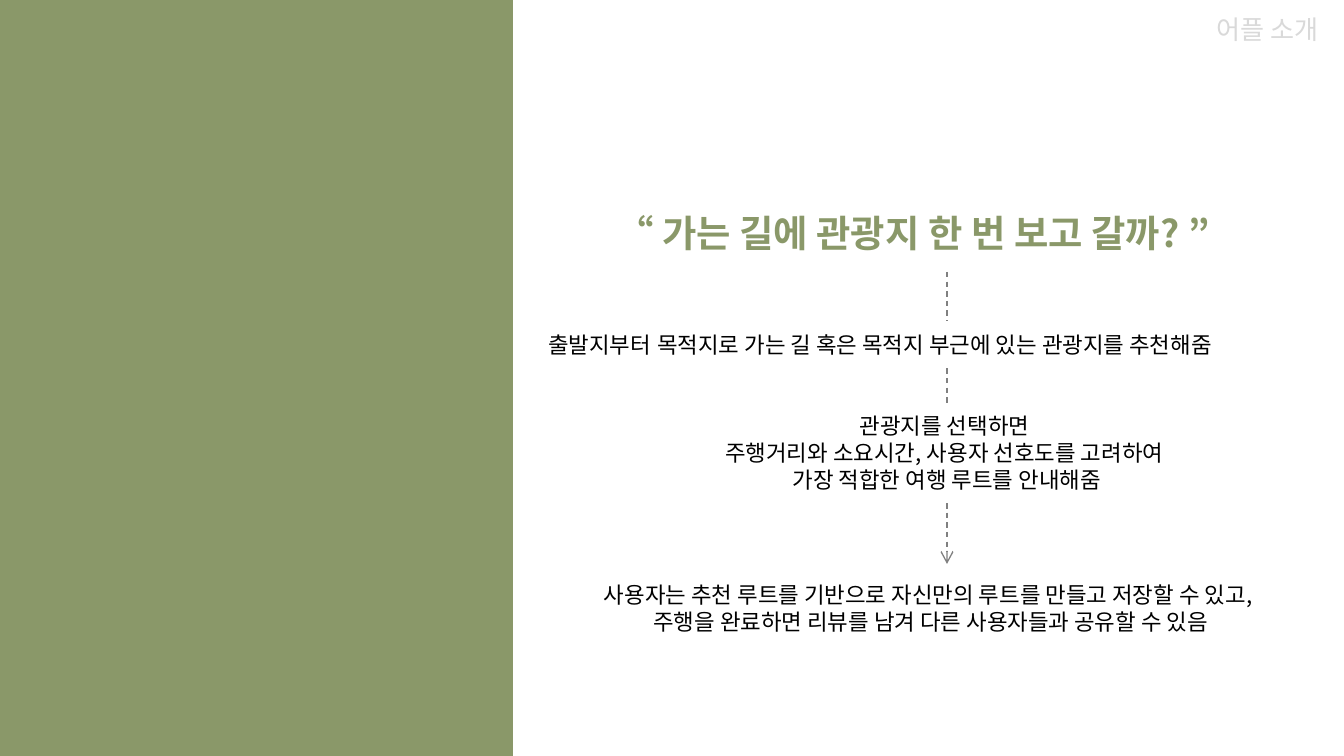
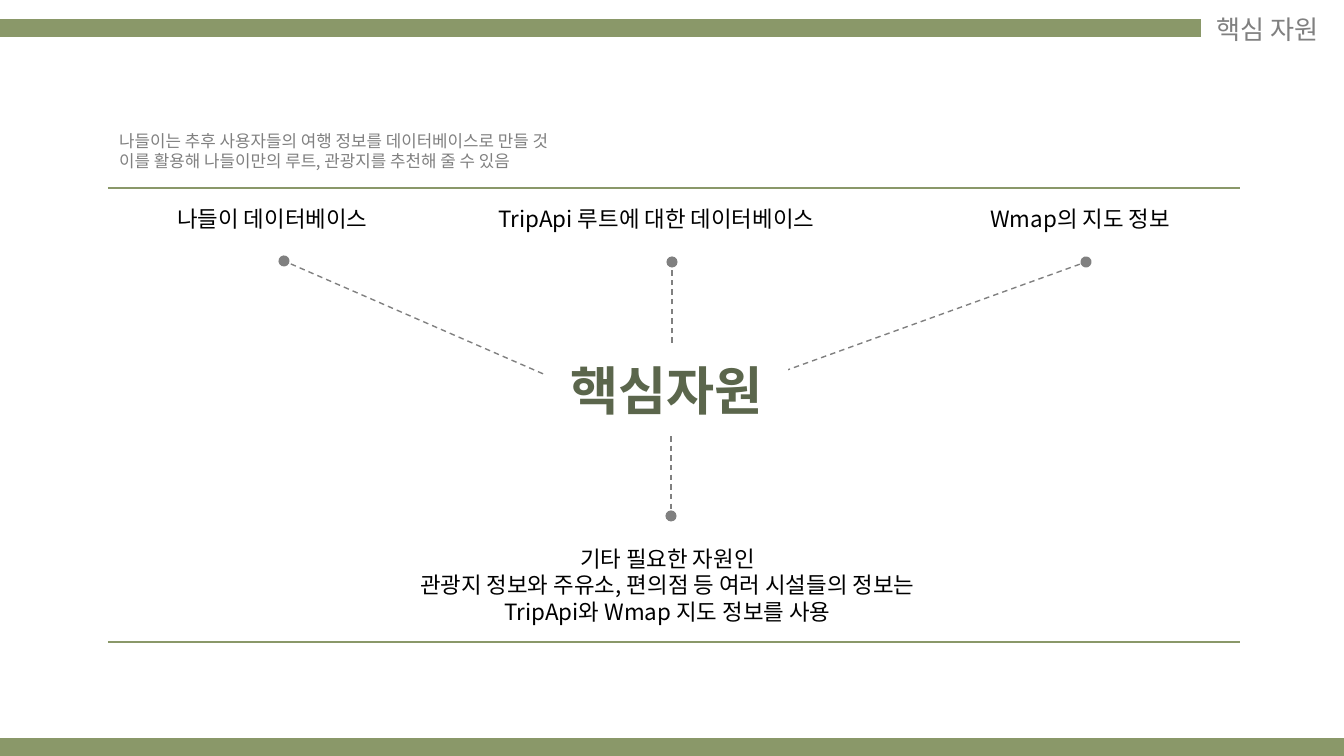
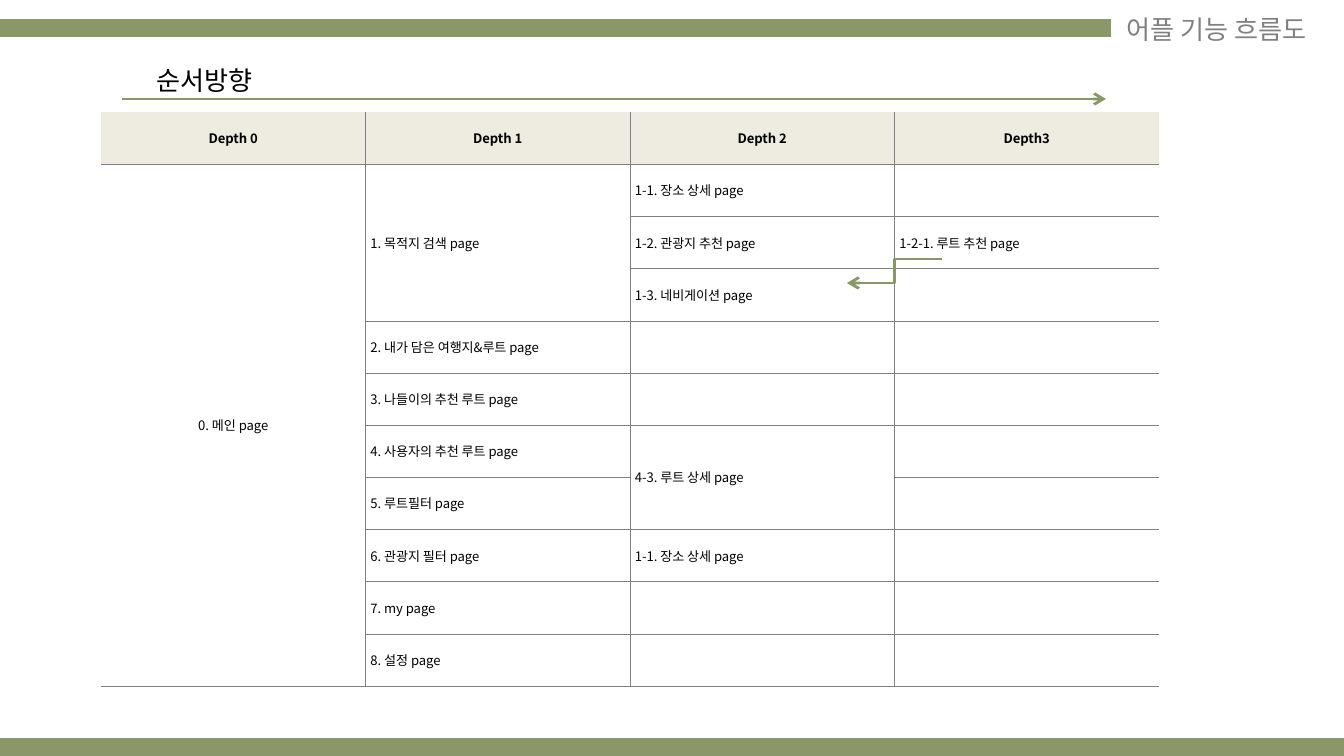
from lxml import etree
from pptx import Presentation
from pptx.dml.color import RGBColor
from pptx.enum.dml import MSO_LINE
from pptx.enum.shapes import MSO_CONNECTOR, MSO_SHAPE
from pptx.enum.text import MSO_ANCHOR, MSO_AUTO_SIZE, PP_ALIGN
from pptx.oxml.ns import qn
from pptx.util import Pt

GREEN = RGBColor(0x8A, 0x98, 0x69)
DARK_GREEN = RGBColor(0x5B, 0x66, 0x4C)
CREAM = RGBColor(0xEE, 0xEC, 0xE1)
GRAY = RGBColor(0x80, 0x80, 0x80)
LIGHT_GRAY = RGBColor(0xD9, 0xD9, 0xD9)
BLACK = RGBColor(0, 0, 0)
WHITE = RGBColor(0xFF, 0xFF, 0xFF)

LEFT, CENTER = PP_ALIGN.LEFT, PP_ALIGN.CENTER
TOP, MIDDLE = MSO_ANCHOR.TOP, MSO_ANCHOR.MIDDLE
STRAIGHT, ELBOW = MSO_CONNECTOR.STRAIGHT, MSO_CONNECTOR.ELBOW
RECTANGLE = MSO_SHAPE.RECTANGLE
DASH = MSO_LINE.DASH
FIT_SHAPE = MSO_AUTO_SIZE.SHAPE_TO_FIT_TEXT

FONT = "Noto Sans CJK KR"
PAGE_WIDTH, PAGE_HEIGHT = 1344, 756
BAND_WEIGHT, RULE_WEIGHT, DASH_WEIGHT, GRID_WEIGHT = 10, 1.5, 0.75, 0.25

HEADERS = ["Depth 0", "Depth 1", "Depth 2", "Depth3"]
ROWS = [
    ["0. 메인 page", "1. 목적지 검색 page", "1-1. 장소 상세 page", ""],
    ["", "", "1-2. 관광지 추천 page", "1-2-1. 루트 추천 page"],
    ["", "", "1-3. 네비게이션 page", ""],
    ["", "2. 내가 담은 여행지&루트 page", "", ""],
    ["", "3. 나들이의 추천 루트 page", "", ""],
    ["", "4. 사용자의 추천 루트 page", "4-3. 루트 상세 page", ""],
    ["", "5. 루트필터 page", "", ""],
    ["", "6. 관광지 필터 page", "1-1. 장소 상세 page", ""],
    ["", "7. my page", "", ""],
    ["", "8. 설정 page", "", ""],
]
MERGES = [(1, 0, 10, 0), (1, 1, 3, 1), (6, 2, 7, 2)]


def px(length):
    return round(length * 9144000 / PAGE_WIDTH)


def write_text(frame, lines, size=12, color=BLACK, bold=False, align=LEFT):
    """Fill a frame; a line is a string or a list of (text, size) spans."""
    for index, line in enumerate(lines):
        para = frame.paragraphs[0] if index == 0 else frame.add_paragraph()
        para.alignment = align
        spans = [(line, size)] if isinstance(line, str) else line
        for text, span_size in spans:
            span = para.add_run()
            span.text = text
            font = span.font
            font.size, font.bold, font.name = Pt(span_size), bold, FONT
            font.color.rgb = color
            latin = span._r.rPr.find(qn("a:latin"))
            latin.addnext(etree.Element(qn("a:ea"), typeface=FONT))


def add_label(page, box, lines, anchor=TOP, **text_format):
    label = page.shapes.add_textbox(*map(px, box))
    frame = label.text_frame
    frame.word_wrap = False
    frame.auto_size = FIT_SHAPE
    frame.vertical_anchor = anchor
    write_text(frame, lines, **text_format)


def add_block(page, box, fill, lines=(), anchor=TOP, **text_format):
    block = page.shapes.add_shape(RECTANGLE, *map(px, box))
    block.shadow.inherit = False
    block.fill.solid()
    block.fill.fore_color.rgb = fill
    block.line.fill.background()
    block.text_frame.word_wrap = True
    block.text_frame.vertical_anchor = anchor
    write_text(block.text_frame, lines, **text_format)


def add_line(page, start, end, color=GREEN, weight=RULE_WEIGHT, dash=None,
             tip=None, kind=STRAIGHT):
    line = page.shapes.add_connector(kind, *map(px, (*start, *end)))
    line.line.color.rgb = color
    line.line.width = Pt(weight)
    if dash:
        line.line.dash_style = dash
    properties = line._element.spPr
    if tip:
        etree.SubElement(properties.find(qn("a:ln")), qn("a:tailEnd"), type=tip)
    etree.SubElement(properties, qn("a:effectLst"))


def add_dashes(page, start, end, tip):
    add_line(page, start, end, GRAY, DASH_WEIGHT, DASH, tip)


def add_title(page, left, width, text, color=GRAY):
    add_label(page, (left, 7, width, 46), [text], size=14, color=color)


def add_bands(page, title_left):
    add_line(page, (0, 28), (title_left - 2, 28), weight=BAND_WEIGHT)
    add_line(page, (0, 747), (PAGE_WIDTH, 747), weight=BAND_WEIGHT)


def add_pitch(page, left, top):
    """Slogan with the steps of the service along a dashed arrow."""
    add_dashes(page, (left + 434, top + 69), (left + 434, top + 361), "arrow")
    add_label(page, (left + 90, top, 694, 59),
              ["“ 가는 길에 관광지 한 번 보고 갈까? ”"],
              anchor=MIDDLE, size=20, color=GREEN, bold=True)
    steps = [
        (22, 118, 804, 46, LEFT, [[
            ("출발지부터", 12), (" ", 14),
            ("목적지로 가는 길 혹은 목적지 부근에 있는 관광지를 추천해줌", 12)]]),
        (37, 203, 794, 95, CENTER, [
            "관광지를 선택하면 ",
            "주행거리와 소요시간, 사용자 선호도를 고려하여 ",
            "가장 적합한 여행 루트를 안내해줌"]),
        (5, 372, 826, 67, CENTER, [
            "사용자는 추천 루트를 기반으로 자신만의 루트를 만들고 저장할 수 있고, ",
            "주행을 완료하면 리뷰를 남겨 다른 사용자들과 공유할 수 있음"]),
    ]
    for x, y, width, height, align, lines in steps:
        add_block(page, (left + x, top + y, width, height), WHITE, lines, align=align)


def add_resource_map(page, left, top):
    """Core resource in the middle, tied to its sources between two rules."""
    add_label(page, (left - 2, top, 513, 54), [
        "나들이는 추후 사용자들의 여행 정보를 데이터베이스로 만들 것",
        "이를 활용해 나들이만의 루트, 관광지를 추천해 줄 수 있음"],
        size=9, color=GRAY)
    for y in (64, 518):
        add_line(page, (left, top + y), (left + 1132, top + y))

    sources = [("나들이 데이터베이스", 56, 239),
               ("TripApi 루트에 대한 데이터베이스", 377, 384),
               ("Wmap의 지도 정보", 869, 218)]
    for text, x, width in sources:
        add_label(page, (left + x, top + 75, width, 40), [text])
    add_label(page, (left + 263, top + 414, 598, 95), [
        "기타 필요한 자원인 ",
        "관광지 정보와 주유소, 편의점 등 여러 시설들의 정보는 ",
        "TripApi와 Wmap 지도 정보를 사용 "], align=CENTER)

    spokes = [((541, 296), (176, 137)), ((564, 296), (564, 138)),
              ((541, 296), (978, 138)), ((563, 264), (563, 392))]
    for (x1, y1), (x2, y2) in spokes:
        add_dashes(page, (left + x1, top + y1), (left + x2, top + y2), "oval")
    add_block(page, (left + 438, top + 223, 242, 85), WHITE, ["핵심자원"],
              anchor=MIDDLE, size=28, color=DARK_GREEN, bold=True, align=CENTER)


def set_borders(cell, visible_sides):
    properties = cell._tc.get_or_add_tcPr()
    for side in "LRTB":
        edge = etree.SubElement(properties, qn(f"a:ln{side}"), w=str(Pt(GRID_WEIGHT)))
        if side in visible_sides:
            fill = etree.SubElement(edge, qn("a:solidFill"))
            etree.SubElement(fill, qn("a:srgbClr"), val=str(GRAY))
        else:
            etree.SubElement(edge, qn("a:noFill"))


def format_cell(cell, text, row, column):
    sides = "B" + "L" * (column > 0) + "R" * (column < len(HEADERS) - 1) + "T" * (row > 0)
    set_borders(cell, sides)
    if row == 0:
        cell.fill.solid()
        cell.fill.fore_color.rgb = CREAM
    else:
        cell.fill.background()
    cell.margin_left = cell.margin_right = px(5)
    cell.margin_top = cell.margin_bottom = px(8)
    cell.vertical_anchor = MIDDLE
    if text:
        write_text(cell.text_frame, [text], size=7, bold=row == 0,
                   align=CENTER if row == 0 or column == 0 else LEFT)
    else:
        para = cell.text_frame.paragraphs[0]
        etree.SubElement(para._p, qn("a:endParaRPr"), sz="700")


def add_depth_table(page, left, top, width, height):
    grid = [HEADERS] + ROWS
    table = page.shapes.add_table(len(grid), len(HEADERS),
                                  *map(px, (left, top, width, height))).table
    table.first_row = table.horz_banding = False
    for row, texts in enumerate(grid):
        for column, text in enumerate(texts):
            format_cell(table.cell(row, column), text, row, column)
    for first_row, first_column, last_row, last_column in MERGES:
        table.cell(first_row, first_column).merge(table.cell(last_row, last_column))


def add_flow(page, left, top):
    """Direction arrow above the table of pages, and the way back in it."""
    add_depth_table(page, left, top + 54, 1058, 574)
    add_line(page, (left + 841, top + 201), (left + 746, top + 225),
             tip="arrow", kind=ELBOW)
    add_line(page, (left + 21, top + 41), (left + 1005, top + 41), tip="arrow")
    add_label(page, (left + 42, top, 133, 46), ["순서방향"], size=14)


def build_intro(page):
    panel_width = 513
    add_block(page, (0, 0, panel_width, PAGE_HEIGHT), GREEN)
    add_title(page, 1203, 141, "어플 소개", LIGHT_GRAY)
    add_pitch(page, panel_width, 203)


def build_resources(page):
    add_bands(page, 1203)
    add_title(page, 1203, 141, "핵심 자원")
    add_resource_map(page, 108, 124)


def build_flow(page):
    add_bands(page, 1113)
    add_title(page, 1113, 228, "어플 기능 흐름도")
    add_flow(page, 101, 58)


def main():
    deck = Presentation()
    deck.slide_width, deck.slide_height = px(PAGE_WIDTH), px(PAGE_HEIGHT)
    blank = deck.slide_layouts[6]
    for build in (build_intro, build_resources, build_flow):
        build(deck.slides.add_slide(blank))
    deck.save("out.pptx")


if __name__ == "__main__":
    main()
